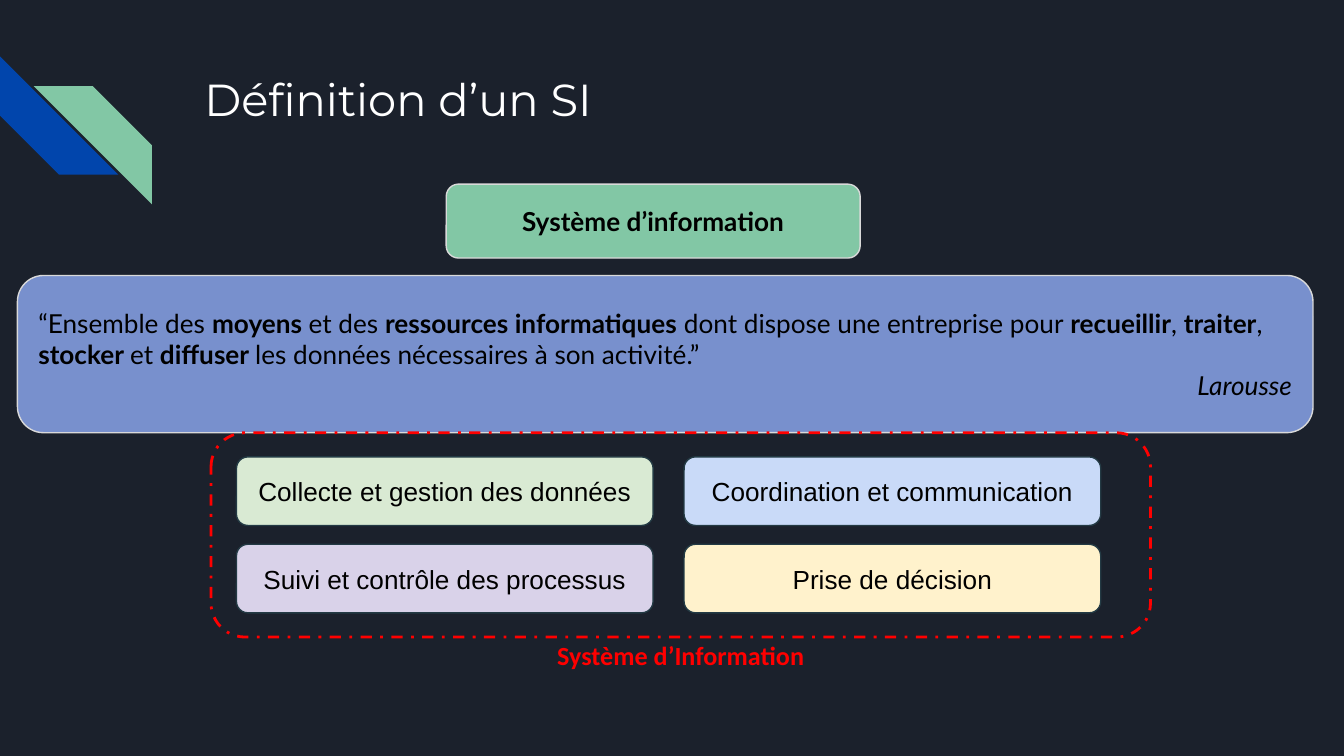
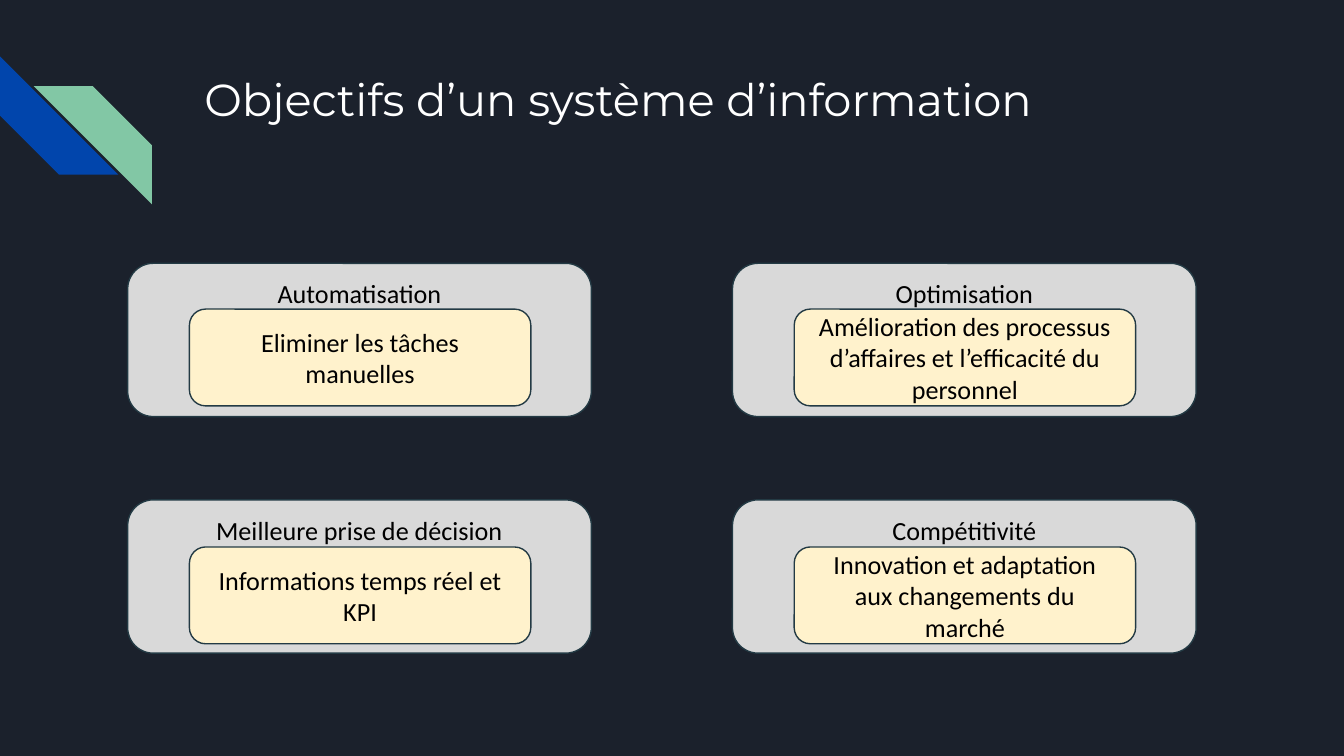
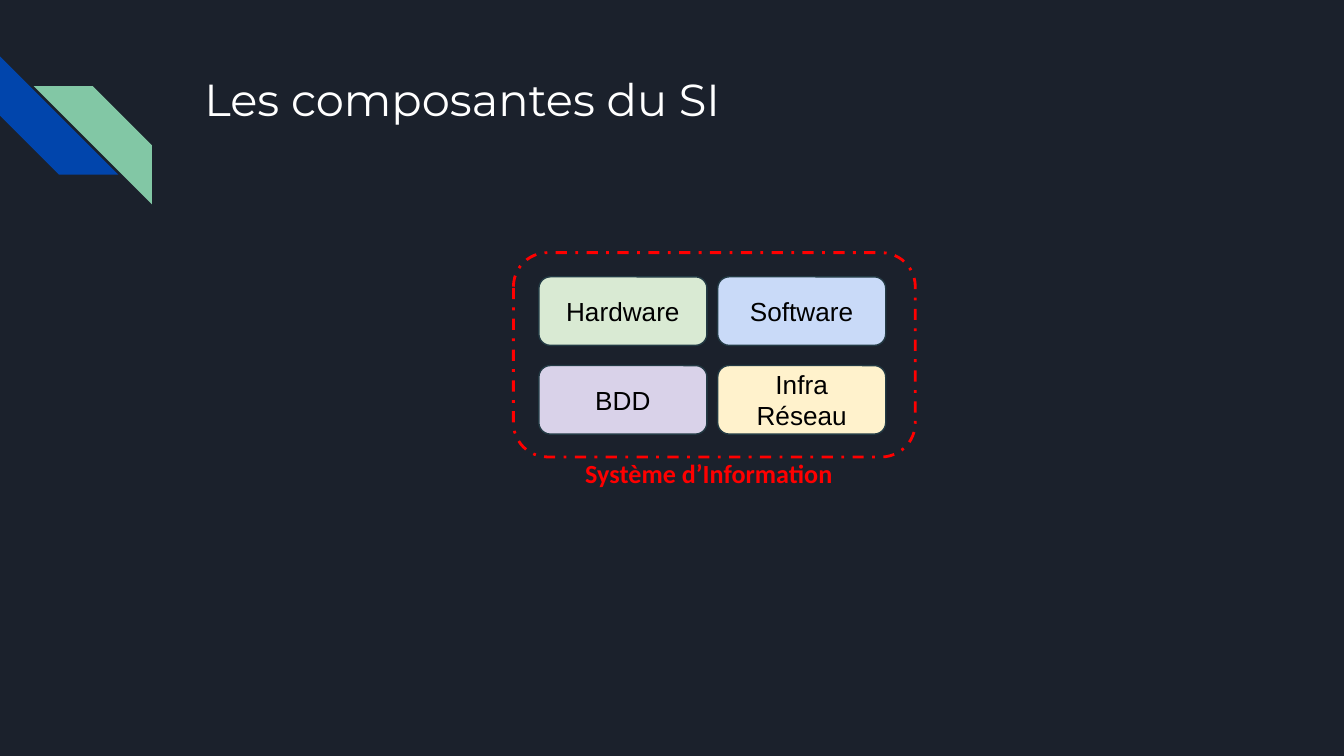
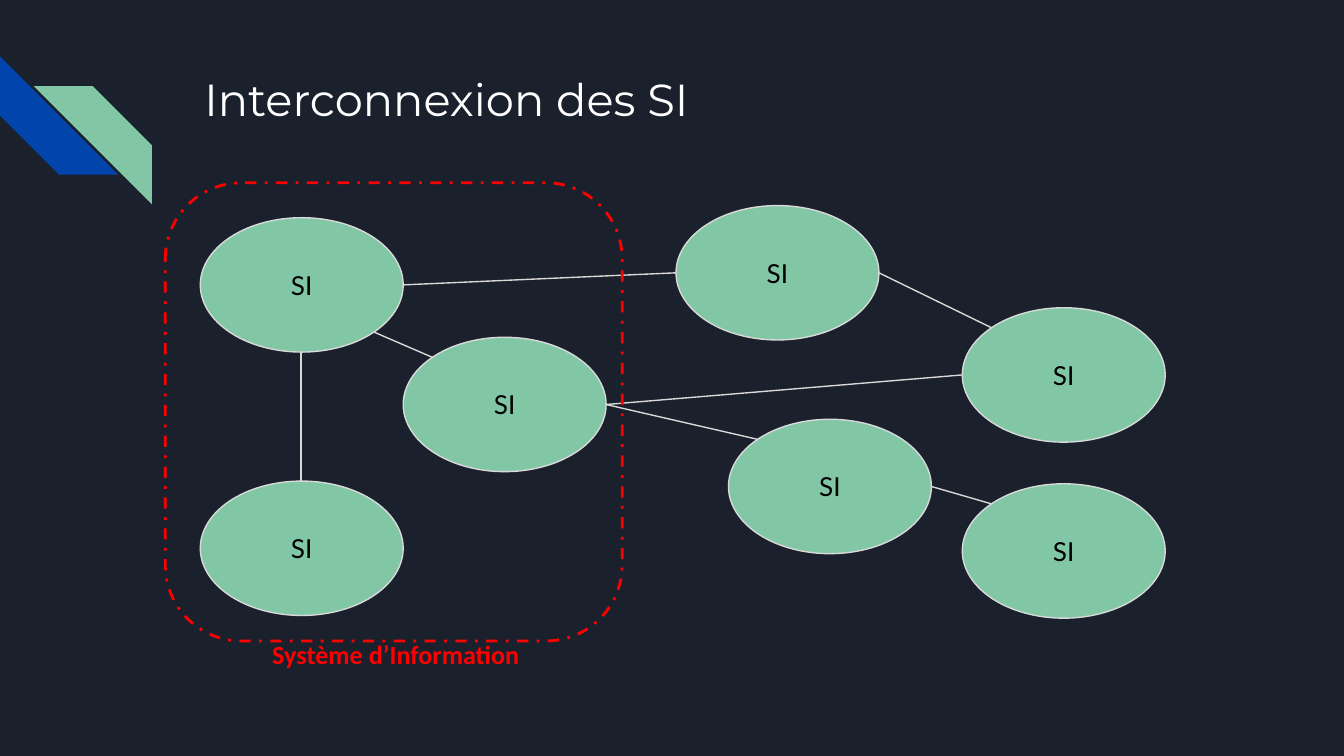
import math
from dataclasses import dataclass

import lxml.etree
import pptx
import pptx.dml.color
import pptx.enum.dml
import pptx.enum.shapes
import pptx.enum.text
import pptx.oxml.ns
import pptx.util

PX = 9144  # EMU per px, 100 px to the inch

COLORS = {
    "night": "1B212C", "blue": "0145AC", "green": "82C7A5", "white": "FFFFFF",
    "black": "000000", "red": "FF0000", "silver": "D9D9D9", "slate": "233A44",
    "periwinkle": "7890CD", "mint": "D9EAD3", "lilac": "D9D2E9",
    "sky": "C9DAF8", "cream": "FFF2CC",
}
CARD_FILLS = ("mint", "sky", "lilac", "cream")

SHAPES = pptx.enum.shapes.MSO_SHAPE
ALIGN = pptx.enum.text.PP_ALIGN
ANCHOR = pptx.enum.text.MSO_ANCHOR
qn = pptx.oxml.ns.qn


@dataclass(frozen=True)
class Box:
    x: int
    y: int
    w: int
    h: int

    def emu(self) -> tuple[int, ...]:
        return tuple(v * PX for v in (self.x, self.y, self.w, self.h))

    def site(self, index: int) -> tuple[int, int]:
        """Ellipse connection site: 0 is the top, then counter-clockwise by 45°."""
        angle = math.radians(-90 - 45 * index)
        return (round(self.x + self.w / 2 * (1 + math.cos(angle))),
                round(self.y + self.h / 2 * (1 + math.sin(angle))))


@dataclass(frozen=True)
class Grid:
    """Two columns of equal boxes, filled row by row."""
    first: Box
    dx: int
    dy: int

    def cell(self, i: int) -> Box:
        row, col = divmod(i, 2)
        b = self.first
        return Box(b.x + col * self.dx, b.y + row * self.dy, b.w, b.h)


@dataclass(frozen=True)
class Style:
    fill: str | None = None
    line: str | None = None
    font: str = "Calibri"
    kind: int = SHAPES.ROUNDED_RECTANGLE
    anchor: int = ANCHOR.MIDDLE


@dataclass(frozen=True)
class Link:
    start: str
    start_site: int
    end: str
    end_site: int


def rgb(name: str):
    return pptx.dml.color.RGBColor.from_string(COLORS[name])


def format_paragraph(p, font: str, size: int = 14, color: str = "black",
                     align=ALIGN.CENTER, bold: bool | None = None) -> None:
    p.alignment = align
    p.font.name = font
    p.font.size = pptx.util.Pt(size)
    p.font.color.rgb = rgb(color)
    p.font.bold = bold


def set_insets(tf) -> None:
    tf.margin_left = tf.margin_right = tf.margin_top = tf.margin_bottom = 10 * PX


def add_box(s, box: Box, style: Style, text: str = ""):
    sp = s.shapes.add_shape(style.kind, *box.emu())
    sp.shadow.inherit = False
    if style.fill:
        sp.fill.solid()
        sp.fill.fore_color.rgb = rgb(style.fill)
    else:
        sp.fill.background()
    if style.line:
        sp.line.color.rgb = rgb(style.line)
        sp.line.width = pptx.util.Pt(0.75)
    else:
        sp.line.fill.background()
    tf = sp.text_frame
    tf.word_wrap = True
    tf.vertical_anchor = style.anchor
    set_insets(tf)
    if text:
        tf.text = text
        format_paragraph(tf.paragraphs[0], style.font)
    return sp


def add_system_frame(s, box: Box, caption_x: int, caption_y: int) -> None:
    """Red dash-dot frame with its caption."""
    sp = add_box(s, box, Style(line="red"))
    sp.line.width = pptx.util.Pt(1.5)
    sp.line.dash_style = pptx.enum.dml.MSO_LINE.DASH_DOT
    caption = s.shapes.add_textbox(*Box(caption_x, caption_y, 323, 44).emu())
    tf = caption.text_frame
    tf.word_wrap = True
    set_insets(tf)
    tf.text = "Système d’Information"
    format_paragraph(tf.paragraphs[0], "Calibri", color="red", bold=True)


def add_cards(s, grid: Grid, labels: tuple[str, ...]) -> None:
    for i, (label, fill) in enumerate(zip(labels, CARD_FILLS)):
        add_box(s, grid.cell(i), Style(fill, "slate", "Arial"), label)


def add_link(s, link: Link, ellipses: dict, boxes: dict[str, Box]) -> None:
    points = boxes[link.start].site(link.start_site) + boxes[link.end].site(link.end_site)
    line = s.shapes.add_connector(pptx.enum.shapes.MSO_CONNECTOR.STRAIGHT,
                                  *(v * PX for v in points))
    line.line.color.rgb = rgb("silver")
    line.line.width = pptx.util.Pt(0.75)
    element = line._element
    lxml.etree.SubElement(element.spPr, qn("a:effectLst"))
    glue = element.find(".//" + qn("p:cNvCxnSpPr"))
    for tag, name, site in (("a:stCxn", link.start, link.start_site),
                            ("a:endCxn", link.end, link.end_site)):
        lxml.etree.SubElement(glue, qn(tag), id=str(ellipses[name].shape_id), idx=str(site))


def prepare_layout(prs):
    """Give the title-only layout its background and title place."""
    layout = prs.slide_layouts.get_by_name("Title Only")
    layout.background.fill.solid()
    layout.background.fill.fore_color.rgb = rgb("night")
    title = layout.placeholders[0]
    title.left, title.top, title.width, title.height = Box(142, 43, 770, 100).emu()
    return layout


def add_stripes(s, layout) -> None:
    """Draw the corner stripes and hand them over to the layout."""
    blue = add_box(s, Box(0, 42, 88, 88), Style("blue", kind=SHAPES.DIAGONAL_STRIPE))
    blue.rotation = 270
    green = add_box(s, Box(25, 64, 88, 88), Style("green", kind=SHAPES.DIAGONAL_STRIPE))
    green._element.spPr.find(qn("a:xfrm")).set("flipH", "1")
    for sp in (blue, green):
        layout.shapes._spTree.append(sp._element)


def new_slide(prs, layout, title: str):
    s = prs.slides.add_slide(layout)
    tf = s.shapes.title.text_frame
    tf.text = title
    tf.vertical_anchor = ANCHOR.TOP
    tf.auto_size = pptx.enum.text.MSO_AUTO_SIZE.NONE
    set_insets(tf)
    format_paragraph(tf.paragraphs[0], "Montserrat", 24, "white", ALIGN.LEFT)
    return s


def build_definition(s) -> None:
    add_box(s, Box(332, 137, 308, 55), Style("green", "silver", "Lato"),
            "Système d’information").text_frame.paragraphs[0].font.bold = True

    quote = add_box(s, Box(13, 205, 964, 117), Style("periwinkle", "silver"))
    tf = quote.text_frame
    p = tf.paragraphs[0]
    format_paragraph(p, "Lato", align=ALIGN.LEFT)
    parts = ("“Ensemble des ", "moyens ", "et des ", "ressources informatiques",
             " dont dispose une entreprise pour ", "recueillir", ", ", "traiter", ", ",
             "stocker ", "et ", "diffuser ", "les données nécessaires à son activité.”")
    for i, part in enumerate(parts):
        r = p.add_run()
        r.text = part
        r.font.bold = i % 2 == 1
    p = tf.add_paragraph()
    p.text = "Larousse"
    format_paragraph(p, "Lato", align=ALIGN.RIGHT)
    p.font.italic = True

    add_system_frame(s, Box(157, 322, 699, 152), 345, 466)
    add_cards(s, Grid(Box(176, 340, 310, 51), 333, 65),
              ("Collecte et gestion des données", "Coordination et communication",
               "Suivi et contrôle des processus", "Prise de décision"))


def build_goals(s) -> None:
    goals = (
        ("Automatisation", "Eliminer les tâches manuelles"),
        ("Optimisation", "Amélioration des processus d’affaires et l’efficacité du personnel"),
        ("Meilleure prise de décision", "Informations temps réel et KPI"),
        ("Compétitivité", "Innovation et adaptation aux changements du marché"),
    )
    panels = Grid(Box(95, 196, 345, 114), 450, 176)
    details = Grid(Box(141, 230, 254, 72), 450, 177)
    for i, (goal, detail) in enumerate(goals):
        panel = add_box(s, panels.cell(i), Style("silver", "slate", anchor=ANCHOR.TOP), goal)
        panel.text_frame.margin_top = 5 * PX
        add_box(s, details.cell(i), Style("cream", "slate"), detail)


def build_components(s) -> None:
    add_system_frame(s, Box(382, 188, 299, 152), 366, 330)
    add_cards(s, Grid(Box(401, 206, 125, 51), 133, 66),
              ("Hardware", "Software", "BDD", "Infra Réseau"))


def build_network(s) -> None:
    corners = {
        "main": (149, 162), "middle": (300, 251), "top": (503, 153), "lower": (542, 312),
        "bottom": (149, 358), "right": (716, 229), "far": (716, 360),
    }
    boxes = {name: Box(x, y, 151, 100) for name, (x, y) in corners.items()}
    style = Style("green", "silver", "Lato", SHAPES.OVAL)
    ellipses = {name: add_box(s, box, style, "SI") for name, box in boxes.items()}
    links = (
        Link("main", 5, "middle", 1), Link("main", 4, "bottom", 0),
        Link("main", 6, "top", 2), Link("top", 6, "right", 1),
        Link("middle", 6, "lower", 1), Link("middle", 6, "right", 2),
        Link("lower", 6, "far", 1),
    )
    for link in links:
        add_link(s, link, ellipses, boxes)
    add_system_frame(s, Box(123, 136, 340, 341), 133, 465)


def main() -> None:
    prs = pptx.Presentation()
    prs.slide_width = 1000 * PX
    prs.slide_height = prs.slide_width * 9 // 16
    layout = prepare_layout(prs)
    pages = (
        ("Définition d’un SI", build_definition),
        ("Objectifs d’un système d’information", build_goals),
        ("Les composantes du SI", build_components),
        ("Interconnexion des SI", build_network),
    )
    for title, build in pages:
        build(new_slide(prs, layout, title))
    add_stripes(prs.slides[0], layout)
    prs.save("out.pptx")


if __name__ == "__main__":
    main()
